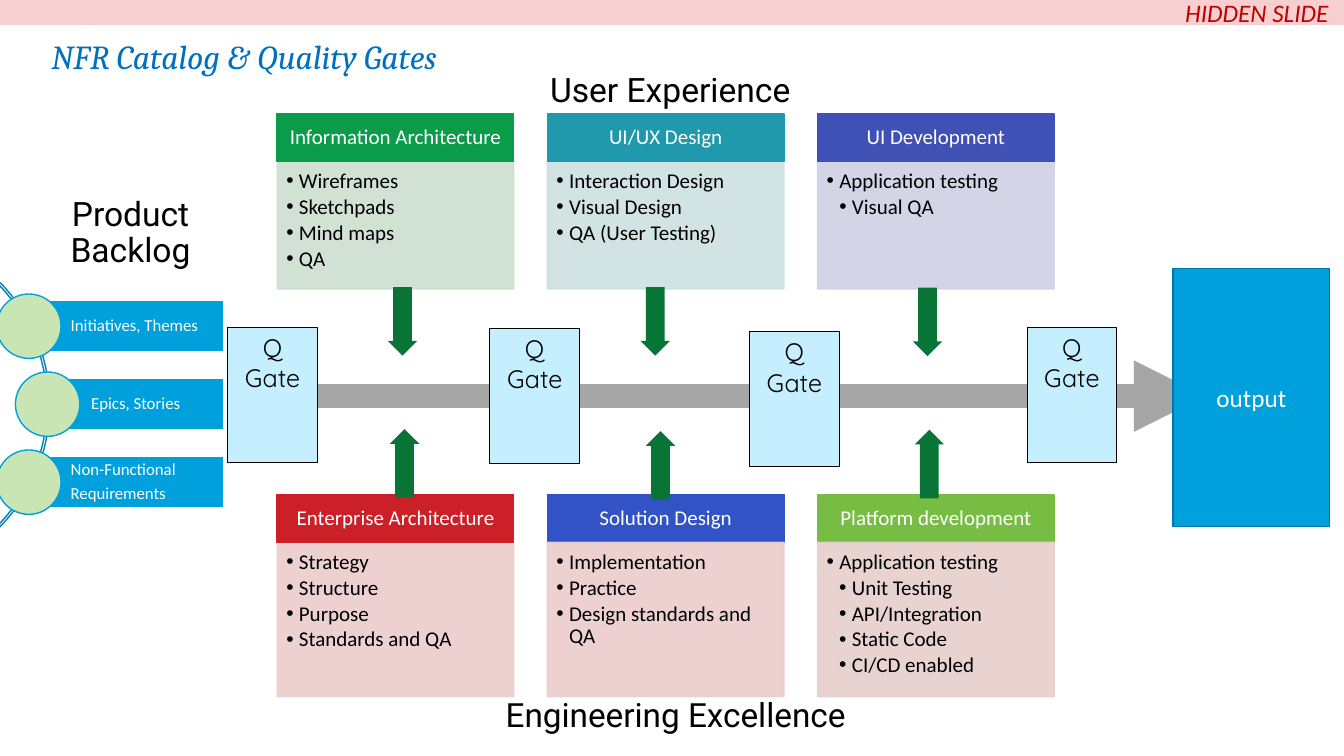
from pptx import Presentation
from pptx import util as u
from pptx.dml import color as c
from pptx.enum import shapes, text
from pptx.oxml import ns
from lxml import etree

Pt = u.Pt
SHAPE = shapes.MSO_SHAPE
ALIGN = text.PP_ALIGN
ANCHOR = text.MSO_ANCHOR


def rgb(value):
    return c.RGBColor.from_string(value)


def set_all(obj, values):
    for name, value in values.items():
        setattr(obj, name, value)


def place(sp, box):
    set_all(sp, dict(zip(("left", "top", "width", "height"), map(Pt, box))))


def paint(sp, fill, line=None, width=1, alpha=None):
    sp.shadow.inherit = False
    if fill:
        sp.fill.solid()
        sp.fill.fore_color.rgb = rgb(fill)
    else:
        sp.fill.background()
    if line:
        sp.line.color.rgb = rgb(line)
        sp.line.width = Pt(width)
    else:
        sp.line.fill.background()
    if alpha:
        for clr in sp._element.spPr.iter(ns.qn("a:srgbClr")):
            etree.SubElement(clr, ns.qn("a:alpha")).set("val", str(alpha * 1000))


def add_bullet(p, indent):
    pPr = p._p.get_or_add_pPr()
    pPr.set("marL", str(Pt(indent)))
    pPr.set("indent", str(-Pt(9)))
    etree.SubElement(pPr, ns.qn("a:buFont")).set("typeface", "Arial")
    etree.SubElement(pPr, ns.qn("a:buChar")).set("char", "•")


def write(sp, lines, size, color, font="Calibri", align=ALIGN.CENTER, anchor=ANCHOR.MIDDLE,
          insets=(7.2, 3.6, 7.2, 3.6), spacing=1.0, after=0, italic=False, bullets=False):
    tf = sp.text_frame
    set_all(tf, {"word_wrap": True, "auto_size": text.MSO_AUTO_SIZE.NONE, "vertical_anchor": anchor})
    set_all(tf, dict(zip(("margin_left", "margin_top", "margin_right", "margin_bottom"), map(Pt, insets))))
    for i, line in enumerate(lines):
        p = tf.paragraphs[0] if i == 0 else tf.add_paragraph()
        level = 0
        if bullets:
            level, line = line
            add_bullet(p, 9 + 9 * level)
        set_all(p, {"alignment": align, "line_spacing": spacing, "level": level,
                    "space_before": Pt(0), "space_after": Pt(after)})
        r = p.add_run()
        r.text = line
        set_all(r.font, {"name": font, "size": Pt(size), "bold": False, "italic": italic})
        r.font.color.rgb = rgb(color)


def add_block(s, kind, box, fill, line=None, width=1, adjust=()):
    sp = s.shapes.add_shape(kind, *map(Pt, box))
    paint(sp, fill, line, width)
    for i, value in enumerate(adjust):
        sp.adjustments[i] = value
    return sp


def add_label(s, box, words, size, **fmt):
    sp = s.shapes.add_textbox(*map(Pt, box))
    write(sp, [words], size, **fmt)


def add_card(s, bodies, x, y, body_height, name, head_color, body_color, items):
    head = add_block(s, SHAPE.RECTANGLE, (x, y, 169, 34), head_color, head_color)
    write(head, [name], 15, "FFFFFF", spacing=0.9)
    box = (x, y + 34, 169, body_height)
    sp = bodies.pop(0) if bodies else s.shapes.add_textbox(*map(Pt, box))
    place(sp, box)
    paint(sp, body_color, body_color, alpha=90)
    write(sp, items, 15, "000000", align=ALIGN.LEFT, anchor=ANCHOR.TOP,
          insets=(6.5, 6.5, 8.6, 9.4), spacing=0.9, after=2.2, bullets=True)


def add_backlog_item(s, x, y, lines, align, insets):
    bar = add_block(s, SHAPE.RECTANGLE, (x, y, 159.5 - x, 36.7), "00A0DD", "FFFFFF")
    write(bar, lines, 12, "FFFFFF", align=align, insets=insets, spacing=0.9, after=4.2)
    add_block(s, SHAPE.OVAL, (x - 23.4, y - 4.6, 46, 46), "C9E5B4", "00A0DD")


def add_flow_line(s, x1, x2, y):
    line = s.shapes.add_connector(shapes.MSO_CONNECTOR.STRAIGHT, Pt(x1), Pt(y), Pt(x2), Pt(y))
    line.line.color.rgb = rgb("A6A6A6")
    line.line.width = Pt(17)
    etree.SubElement(line.line._get_or_add_ln(), ns.qn("a:tailEnd")).set("type", "triangle")
    etree.SubElement(line._element.spPr, ns.qn("a:effectLst"))


def main():
    prs = Presentation()
    prs.slide_width, prs.slide_height = Pt(960), Pt(540)
    s = prs.slides.add_slide(prs.slide_layouts[4])
    title = s.shapes.title
    bodies = [sp for sp in s.placeholders if sp.placeholder_format.idx > 0]
    place(title, (316, 50.5, 325.5, 29.5))
    write(title, ["User Experience"], 24, "000000", "Roboto", spacing=0.9)

    experience = [
        ("Information Architecture", "0B9C49", "CCDED0",
         [(0, "Wireframes"), (0, "Sketchpads"), (0, "Mind maps"), (0, "QA")]),
        ("UI/UX Design", "2199AC", "CEE1E2",
         [(0, "Interaction Design"), (0, "Visual Design"), (0, "QA (User Testing)")]),
        ("UI Development", "3F51B5", "CFD1E5",
         [(0, "Application testing"), (1, "Visual QA")]),
    ]
    engineering = [
        ("Enterprise Architecture", "CB2027", "ECCDCD",
         [(0, "Strategy"), (0, "Structure"), (0, "Purpose"), (0, "Standards and QA")]),
        ("Solution Design", "3153C5", "ECCDCD",
         [(0, "Implementation"), (0, "Practice"), (0, "Design standards and QA")]),
        ("Platform development", "77BD43", "E6CFCD",
         [(0, "Application testing"), (1, "Unit Testing"), (1, "API/Integration"),
          (1, "Static Code"), (1, "CI/CD enabled")]),
    ]
    for y, height, cards in ((81.4, 91, experience), (353.4, 110.2, engineering)):
        for i, card in enumerate(cards):
            add_card(s, bodies, 198 + 193 * i, y, height, *card)

    add_block(s, SHAPE.BLOCK_ARC, (-214.5, 164, 250, 250), None, "0080B1", adjust=(189, 27, 0.007))
    side, middle = (29.5, 2.2, 2.2, 2.2), (0, 2.2, 0, 2.2)
    backlog = [
        (21, ["Initiatives, Themes"], ALIGN.LEFT, side),
        (34.4, ["Epics, Stories"], ALIGN.CENTER, middle),
        (21, ["Non-Functional", "Requirements"], ALIGN.LEFT, side),
    ]
    for i, (x, *item) in enumerate(backlog):
        add_backlog_item(s, x, 214.6 + 55.7 * i, *item)

    add_flow_line(s, 198, 861, 283)
    for x, y in ((162.7, 234), (350, 234.7), (535.5, 236.9), (733.7, 234)):
        gate = add_block(s, SHAPE.RECTANGLE, (x, y, 64, 96.5), "C5EFFF", "000000", 0.75)
        write(gate, ["Q Gate"], 18, "000000", "Quicksand", anchor=ANCHOR.TOP)
    output = add_block(s, SHAPE.RECTANGLE, (838, 192, 111.8, 184), "00A0DD", "0076A3")
    write(output, ["output"], 18, "FFFFFF")

    arrows = [(SHAPE.DOWN_ARROW, ((277, 205), (457.6, 205), (652, 205.4))),
              (SHAPE.UP_ARROW, ((278.5, 306.5), (461.3, 308), (653.3, 307)))]
    for kind, spots in arrows:
        for x, y in spots:
            add_block(s, kind, (x, y, 21, 49), "087537", adjust=(0.64, 0.5))

    add_label(s, (36, 24.5, 607, 29.5), "NFR Catalog & Quality Gates", 24, color="0070C0",
              font="Cambria", align=ALIGN.LEFT, anchor=ANCHOR.TOP, insets=(0.7, 1.2, 0, 0), italic=True)
    add_label(s, (0, 152, 186.5, 29.5), "Product Backlog", 24, color="000000",
              font="Roboto", insets=(24, 3.6, 24, 3.6), spacing=0.9)
    add_label(s, (350, 497.5, 265, 31.7), "Engineering Excellence", 23.8, color="000000",
              font="Roboto", spacing=0.7)
    banner = add_block(s, SHAPE.RECTANGLE, (0, 0, 960, 18), "F8CFD1")
    write(banner, ["HIDDEN SLIDE"], 18, "C00000", align=ALIGN.RIGHT,
          insets=(7.2, 0, 11, 0), italic=True)
    prs.save("out.pptx")


if __name__ == "__main__":
    main()
